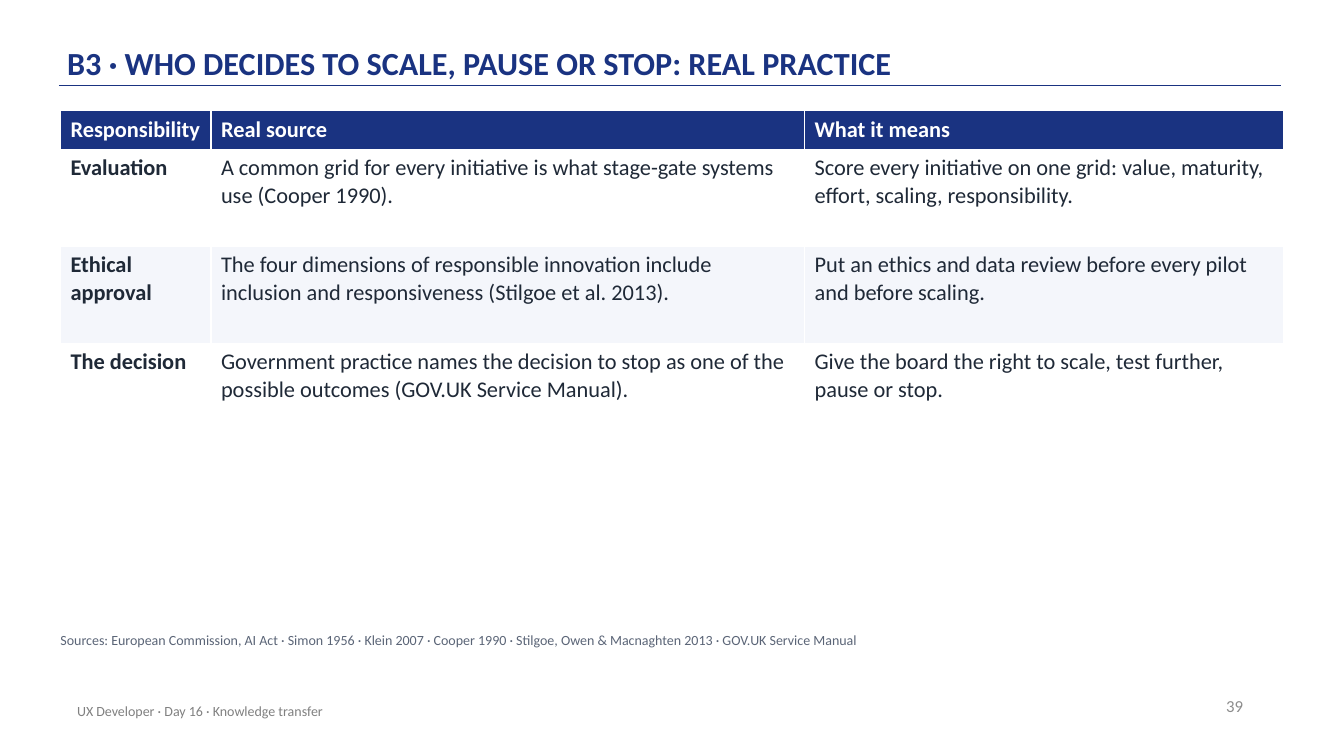
from lxml.etree import SubElement
from pptx import Presentation
from pptx.dml.color import RGBColor
from pptx.enum.shapes import MSO_CONNECTOR
from pptx.enum.text import MSO_ANCHOR as ANCHOR, MSO_AUTO_SIZE as AUTO_SIZE, PP_ALIGN as ALIGN
from pptx.oxml.ns import qn
from pptx.util import Pt

COLORS = {
    "navy": "1A3381",
    "ink": "1F2937",
    "white": "FFFFFF",
    "band": "F4F6FB",
    "source": "5B6577",
    "footer": "808080",
    "number": "8C8C8C",
}
FONT = "Calibri"
COLUMN_WIDTHS = (107.5, 424, 342)
HEADER_HEIGHT = 27.5
ROW_HEIGHT = 69.3
ROWS = [
    ("Responsibility", "Real source", "What it means"),
    (
        "Evaluation",
        "A common grid for every initiative is what stage-gate systems use (Cooper 1990).",
        "Score every initiative on one grid: value, maturity, effort, scaling, responsibility.",
    ),
    (
        "Ethical approval",
        "The four dimensions of responsible innovation include inclusion and responsiveness (Stilgoe et al. 2013).",
        "Put an ethics and data review before every pilot and before scaling.",
    ),
    (
        "The decision",
        "Government practice names the decision to stop as one of the possible outcomes (GOV.UK Service Manual).",
        "Give the board the right to scale, test further, pause or stop.",
    ),
]


def color(name):
    return RGBColor.from_string(COLORS[name])


def write(frame, text, size, ink, bold=False, align=ALIGN.LEFT, anchor=ANCHOR.TOP,
          margins=None, spacing=None, after=None):
    frame.word_wrap = True
    frame.vertical_anchor = anchor
    if margins:
        frame.margin_left, frame.margin_top, frame.margin_right, frame.margin_bottom = map(Pt, margins)
    paragraph = frame.paragraphs[0]
    paragraph.alignment = align
    if spacing:
        paragraph.line_spacing = spacing
    if after:
        paragraph.space_after = Pt(after)
    run = paragraph.add_run()
    run.text = text
    run.font.name = FONT
    run.font.size = Pt(size)
    run.font.bold = bold
    run.font.color.rgb = color(ink)


def add_title(slide, text):
    title = slide.shapes.title
    title.left, title.top, title.width, title.height = Pt(48), Pt(8.6), Pt(792), Pt(52)
    title.text_frame.auto_size = AUTO_SIZE.NONE
    write(title.text_frame, text, 23, "navy", bold=True, anchor=ANCHOR.BOTTOM,
          margins=(0, 2, 0, 2), spacing=0.9)


def add_rule(slide, left, right, y):
    rule = slide.shapes.add_connector(MSO_CONNECTOR.STRAIGHT, Pt(left), Pt(y), Pt(right), Pt(y))
    rule.line.color.rgb = color("navy")
    rule.line.width = Pt(1)
    SubElement(rule.element.spPr, qn("a:effectLst"))


def add_label(slide, box, text, **style):
    label = slide.shapes.add_textbox(*map(Pt, box))
    write(label.text_frame, text, **style)
    return label


def add_responsibilities(slide, left, top):
    height = HEADER_HEIGHT + ROW_HEIGHT * (len(ROWS) - 1)
    table = slide.shapes.add_table(len(ROWS), len(COLUMN_WIDTHS), Pt(left), Pt(top),
                                   Pt(sum(COLUMN_WIDTHS)), Pt(height)).table
    for column, width in zip(table.columns, COLUMN_WIDTHS):
        column.width = Pt(width)
    for r, texts in enumerate(ROWS):
        header = r == 0
        table.rows[r].height = Pt(HEADER_HEIGHT if header else ROW_HEIGHT)
        fill = "navy" if header else "white" if r % 2 else "band"
        for c, text in enumerate(texts):
            cell = table.cell(r, c)
            cell.fill.solid()
            cell.fill.fore_color.rgb = color(fill)
            write(cell.text_frame, text, 16, "white" if header else "ink", bold=header or c == 0)


def main():
    deck = Presentation()
    deck.slide_width, deck.slide_height = Pt(960), Pt(540)
    slide = deck.slides.add_slide(deck.slide_layouts[5])
    add_rule(slide, 42, 915, 61.2)
    add_title(slide, "B3 · WHO DECIDES TO SCALE, PAUSE OR STOP: REAL PRACTICE")
    add_label(slide, (679, 489.6, 216, 28.8), "39", size=12, ink="number",
              align=ALIGN.RIGHT, anchor=ANCHOR.MIDDLE)
    add_label(slide, (48, 493.2, 482.4, 28.8), "UX Developer · Day 16 · Knowledge transfer",
              size=10, ink="footer", anchor=ANCHOR.MIDDLE)
    add_responsibilities(slide, 43.2, 79.2)
    sources = add_label(
        slide, (43.2, 451.4, 871.2, 21.6),
        "Sources: European Commission, AI Act · Simon 1956 · Klein 2007 · Cooper 1990 · "
        "Stilgoe, Owen & Macnaghten 2013 · GOV.UK Service Manual",
        size=10, ink="source", margins=(0, 0, 0, 0), after=6)
    sources.text_frame.auto_size = AUTO_SIZE.SHAPE_TO_FIT_TEXT
    deck.save("out.pptx")


if __name__ == "__main__":
    main()
